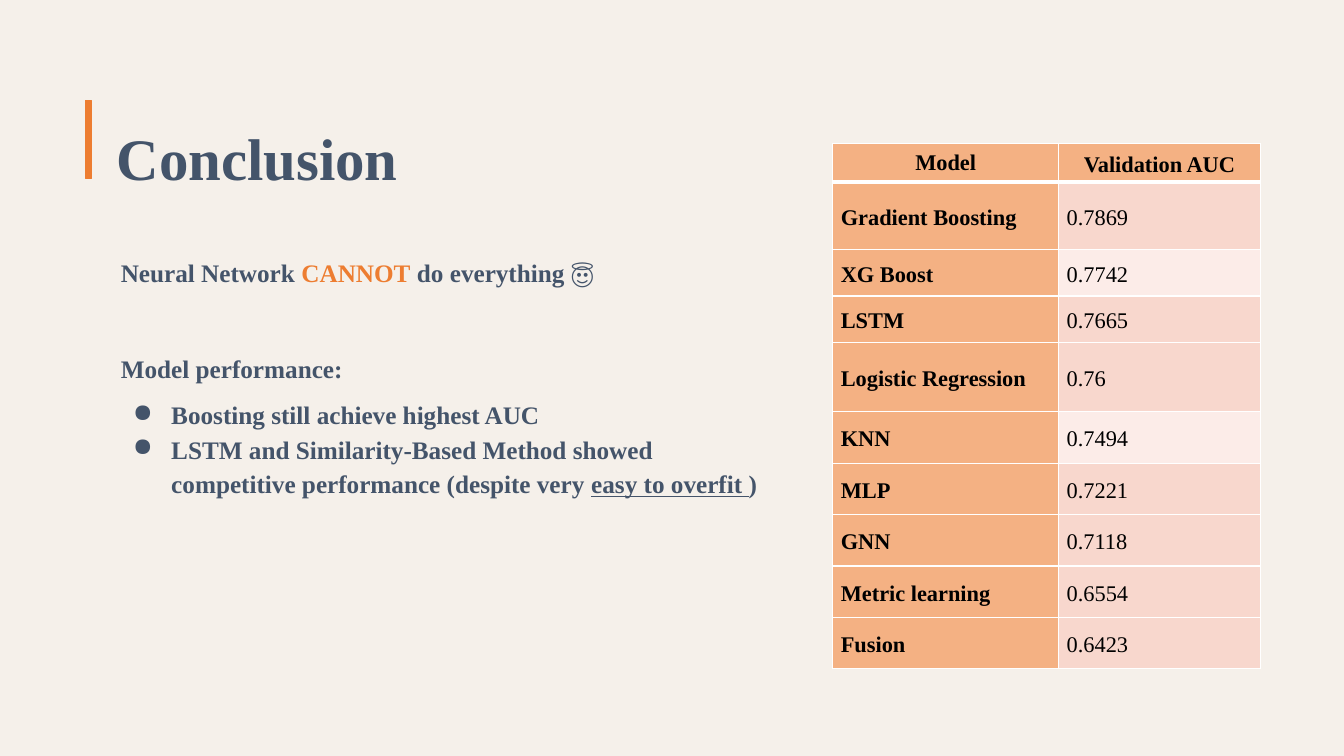
from dataclasses import dataclass

from lxml.etree import SubElement
from pptx import Presentation
from pptx.dml.color import RGBColor
from pptx.enum.shapes import MSO_SHAPE as Shape
from pptx.enum.text import MSO_ANCHOR as Anchor, MSO_AUTO_SIZE as AutoSize, PP_ALIGN as Align
from pptx.oxml.ns import qn
from pptx.util import Inches, Pt


@dataclass(frozen=True)
class Theme:
    font: str = "Times New Roman"
    background: str = "F5F0EA"
    ink: str = "44546A"
    accent: str = "ED7D31"
    table_text: str = "000000"
    table_border: str = "FFFFFF"
    label_fill: str = "F4B183"
    band_dark: str = "F8D7CD"
    band_light: str = "FCECE8"
    title_size: int = 42
    body_size: int = 18
    table_size: int = 16


THEME = Theme()

RESULTS = [
    ("Gradient Boosting", "0.7869", 0.67, THEME.band_dark),
    ("XG Boost", "0.7742", 0.46, THEME.band_light),
    ("LSTM", "0.7665", 0.46, THEME.band_dark),
    ("Logistic Regression", "0.76", 0.69, THEME.band_dark),
    ("KNN", "0.7494", 0.51, THEME.band_light),
    ("MLP", "0.7221", 0.51, THEME.band_dark),
    ("GNN", "0.7118", 0.51, THEME.band_dark),
    ("Metric learning", "0.6554", 0.51, THEME.band_dark),
    ("Fusion", "0.6423", 0.51, THEME.band_dark),
]


def paint(fill, color):
    fill.solid()
    fill.fore_color.rgb = RGBColor.from_string(color)


def style_paragraph(paragraph, size, color, bold=True, spacing=1.5):
    paragraph.line_spacing = spacing
    font = paragraph.font
    font.name = THEME.font
    font.size = Pt(size)
    font.bold = bold
    font.color.rgb = RGBColor.from_string(color)


def add_run(paragraph, words, color=None, underline=None):
    run = paragraph.add_run()
    run.text = words
    run.font.underline = underline
    if color:
        run.font.color.rgb = RGBColor.from_string(color)


def add_bullet(paragraph):
    properties = paragraph._p.get_or_add_pPr()
    properties.set("marL", str(Inches(0.5)))
    properties.set("indent", str(Inches(-0.38)))
    bullet_color = SubElement(properties, qn("a:buClr"))
    SubElement(bullet_color, qn("a:srgbClr"), val=THEME.ink)
    SubElement(properties, qn("a:buChar"), char="●")
    defaults = properties.find(qn("a:defRPr"))
    if defaults is not None:
        properties.append(defaults)


def add_text(slide, left, top, width, height, paragraphs, size):
    frame = slide.shapes.add_textbox(
        Inches(left), Inches(top), Inches(width), Inches(height)
    ).text_frame
    frame.word_wrap = True
    frame.auto_size = AutoSize.SHAPE_TO_FIT_TEXT
    frame.margin_left = frame.margin_right = Inches(0.1)
    frame.margin_top = frame.margin_bottom = Inches(0.1)
    for index, (runs, spacing, bulleted) in enumerate(paragraphs):
        paragraph = frame.add_paragraph() if index else frame.paragraphs[0]
        style_paragraph(paragraph, size, THEME.ink, spacing=spacing)
        if bulleted:
            add_bullet(paragraph)
        for run in runs:
            add_run(paragraph, *run)


def add_accent_bar(slide):
    bar = slide.shapes.add_shape(
        Shape.RECTANGLE, Inches(0.85), Inches(1), Inches(0.06), Inches(0.77)
    )
    bar.shadow.inherit = False
    paint(bar.fill, THEME.accent)
    paint(bar.line.fill, THEME.accent)
    bar.line.width = Pt(0.75)


def add_borders(cell, top=1, bottom=1):
    properties = cell._tc.get_or_add_tcPr()
    for side, width in (("L", 1), ("R", 1), ("T", top), ("B", bottom)):
        border = SubElement(properties, qn(f"a:ln{side}"), w=str(Pt(width)))
        fill = SubElement(border, qn("a:solidFill"))
        SubElement(fill, qn("a:srgbClr"), val=THEME.table_border)


def fill_cell(cell, words, color, bold, align, anchor):
    cell.margin_left = cell.margin_right = Inches(0.08)
    cell.margin_top = cell.margin_bottom = Inches(0.04)
    cell.vertical_anchor = anchor
    paint(cell.fill, color)
    paragraph = cell.text_frame.paragraphs[0]
    paragraph.alignment = align
    style_paragraph(paragraph, THEME.table_size, THEME.table_text, bold, 1.15)
    add_run(paragraph, words)


def add_results_table(slide):
    rows = [("Model", "Validation AUC", 0.34, THEME.label_fill), *RESULTS]
    table = slide.shapes.add_table(
        len(rows), 2, Inches(8.26), Inches(1.42), Inches(4.24), Inches(5.18)
    ).table
    table.first_row = table.horz_banding = False
    for column, width in zip(table.columns, (2.24, 2)):
        column.width = Inches(width)
    for row, (model, score, height, score_fill) in enumerate(rows):
        table.rows[row].height = Inches(height)
        header = row == 0
        for column, (words, color) in enumerate(
            ((model, THEME.label_fill), (score, score_fill))
        ):
            cell = table.cell(row, column)
            add_borders(cell, top=3 if row == 1 else 1, bottom=3 if header else 1)
            fill_cell(
                cell,
                words,
                color,
                bold=header or column == 0,
                align=Align.CENTER if header else Align.LEFT,
                anchor=Anchor.TOP if header and column == 0 else Anchor.MIDDLE,
            )


def main():
    deck = Presentation()
    deck.slide_width, deck.slide_height = Inches(13.33), Inches(7.5)
    slide = deck.slides.add_slide(deck.slide_layouts[6])
    paint(slide.background.fill, THEME.background)

    add_accent_bar(slide)
    title = [([("Conclusion",)], 1.5, False)]
    add_text(slide, 1.06, 0.76, 7.05, 0.91, title, THEME.title_size)

    message = [("Neural Network ",), ("CANNOT", THEME.accent), (" do everything 😇",)]
    add_text(slide, 1.1, 2.3, 8.07, 0.5, [(message, 1.5, False)], THEME.body_size)

    overfit = [
        ("LSTM and Similarity-Based Method showed competitive performance (despite very ",),
        ("easy to overfit ", None, True),
        (")",),
    ]
    performance = [
        ([("Model performance:",)], 1.5, False),
        ([("Boosting still achieve highest AUC",)], 1.5, True),
        (overfit, 1.15, True),
    ]
    add_text(slide, 1.1, 3.26, 6.61, 1.76, performance, THEME.body_size)

    add_results_table(slide)
    deck.save("out.pptx")


if __name__ == "__main__":
    main()
